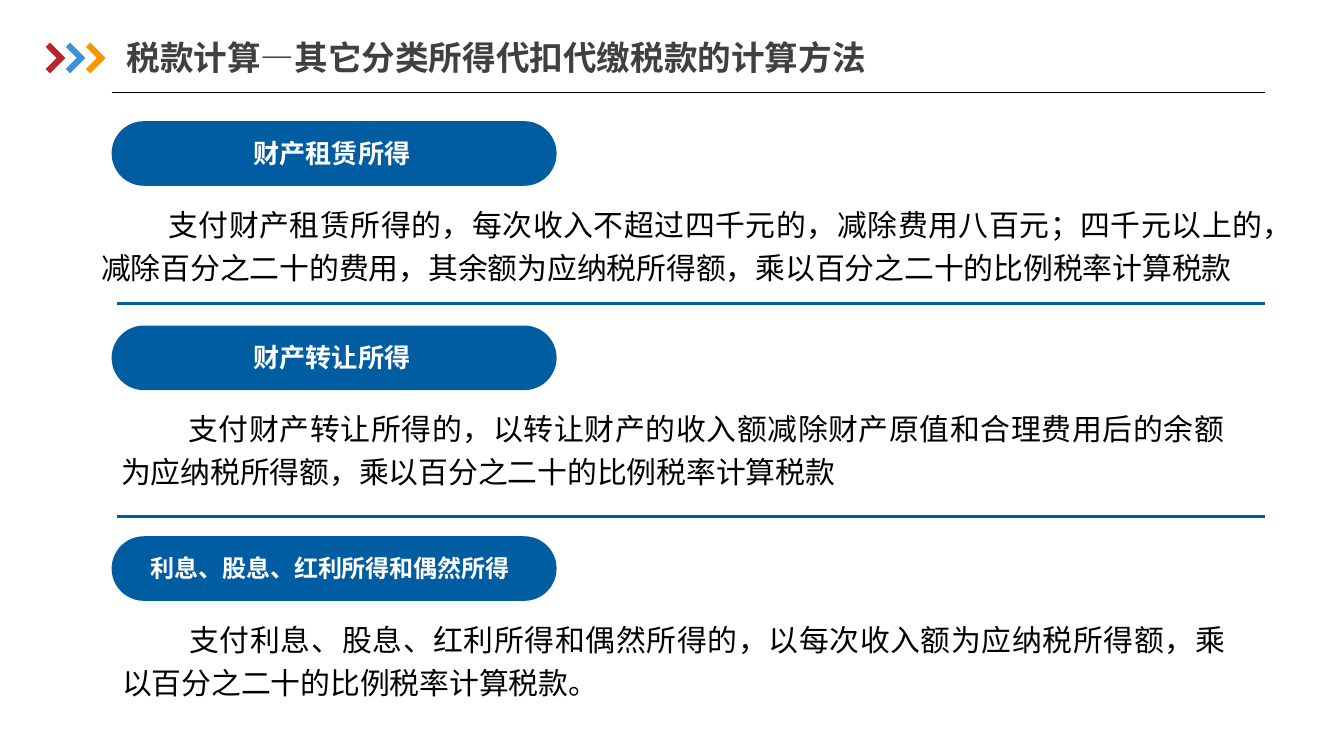
from dataclasses import dataclass

from lxml import etree
from pptx import Presentation
from pptx.dml.color import RGBColor
from pptx.enum.lang import MSO_LANGUAGE_ID
from pptx.enum.shapes import MSO_CONNECTOR, MSO_SHAPE
from pptx.enum.text import MSO_ANCHOR, MSO_AUTO_SIZE, PP_ALIGN
from pptx.oxml.ns import qn
from pptx.util import Cm, Pt

CHEVRON, PILL = MSO_SHAPE.CORNER, MSO_SHAPE.ROUNDED_RECTANGLE
STRAIGHT = MSO_CONNECTOR.STRAIGHT
TOP, MIDDLE = MSO_ANCHOR.TOP, MSO_ANCHOR.MIDDLE
LEFT, CENTER, JUSTIFY = PP_ALIGN.LEFT, PP_ALIGN.CENTER, PP_ALIGN.JUSTIFY
NO_FIT, GROW = MSO_AUTO_SIZE.NONE, MSO_AUTO_SIZE.SHAPE_TO_FIT_TEXT
CHINESE = MSO_LANGUAGE_ID.SIMPLIFIED_CHINESE


@dataclass(frozen=True)
class Theme:
    blue: str = "005DA2"
    white: str = "FFFFFF"
    black: str = "000000"
    grey: str = "404040"
    chevrons: tuple = ("BC242A", "3992DB", "F79600")
    cjk: str = "Noto Sans CJK SC"
    latin: str = "Calibri"
    title: float = 18
    label: float = 14
    long_label: float = 12.9
    body: float = 16


THEME = Theme()
RIGHT = 23.9

SECTIONS = [
    dict(top=2.29, label="财产租赁所得", size=THEME.label,
         label_box=(3.71, 5.13), body_box=(1.91, 22, 2.44), rule=5.74,
         body="支付财产租赁所得的，每次收入不超过四千元的，减除费用八百元；"
              "四千元以上的，减除百分之二十的费用，其余额为应纳税所得额，"
              "乘以百分之二十的比例税率计算税款"),
    dict(top=6.15, label="财产转让所得", size=THEME.label,
         label_box=(3.71, 5.13), body_box=(2.29, 20.88, 1.63), rule=9.75,
         body="支付财产转让所得的，以转让财产的收入额减除财产原值和合理费用后的余额"
              "为应纳税所得额，乘以百分之二十的比例税率计算税款"),
    dict(top=10.13, label="利息、股息、红利所得和偶然所得", size=THEME.long_label,
         label_box=(2.57, 7.34), body_box=(2.31, 20.88, 1.63), rule=None,
         body="支付利息、股息、红利所得和偶然所得的，以每次收入额为应纳税所得额，"
              "乘以百分之二十的比例税率计算税款。"),
]


def apply(target, values):
    for name, value in values.items():
        setattr(target, name, value)


def write(sp, text, font, color, frame, para, margin=0):
    tf = sp.text_frame
    apply(tf, dict(word_wrap=True, margin_left=0, margin_right=0,
                   margin_top=margin, margin_bottom=margin) | frame)
    p = tf.paragraphs[0]
    apply(p, para)
    r = p.add_run()
    r.text = text
    apply(r.font, dict(language_id=CHINESE) | font)
    r.font.color.rgb = RGBColor.from_string(color)
    ea = etree.SubElement(r.font._element, qn("a:ea"))
    ea.set("typeface", THEME.cjk)


def add_title(s, text):
    sp = s.shapes.title
    apply(sp, dict(left=Cm(2.39), top=Cm(0.56), width=Cm(21.11), height=Cm(1.04)))
    write(sp, text, dict(name=THEME.cjk, size=Pt(THEME.title), bold=True), THEME.grey,
          dict(vertical_anchor=MIDDLE, auto_size=NO_FIT), dict(alignment=LEFT), Cm(0.13))


def add_text(s, box, text, font, color, frame, para):
    sp = s.shapes.add_textbox(*map(Cm, box))
    write(sp, text, font, color, frame, para)
    return sp


def add_filled(s, kind, box, color, adjustments, rotation=0):
    sp = s.shapes.add_shape(kind, *map(Cm, box))
    sp.shadow.inherit = False
    sp.rotation = rotation
    sp.fill.solid()
    sp.fill.fore_color.rgb = RGBColor.from_string(color)
    sp.line.fill.background()
    for i, value in enumerate(adjustments):
        sp.adjustments[i] = value


def add_rule(s, left, top, color, width):
    line = s.shapes.add_connector(STRAIGHT, Cm(left), Cm(top), Cm(RIGHT), Cm(top))
    line.line.color.rgb = RGBColor.from_string(color)
    line.line.width = Pt(width)
    etree.SubElement(line._element.spPr, qn("a:effectLst"))


def add_section(s, top, label, size, label_box, body_box, rule, body):
    add_filled(s, PILL, (2.11, top, 8.41, 1.22), THEME.blue, [0.5])
    label_left, label_width = label_box
    add_text(s, (label_left, top + 0.2, label_width, 0.86), label,
             dict(name=THEME.cjk, size=Pt(size), bold=True), THEME.white,
             dict(vertical_anchor=MIDDLE), dict(alignment=CENTER, line_spacing=0.9))
    body_left, body_width, body_height = body_box
    sp = add_text(s, (body_left, top + 1.47, body_width, body_height), body,
                  dict(name=THEME.latin, size=Pt(THEME.body)), THEME.black,
                  dict(vertical_anchor=TOP, auto_size=GROW),
                  dict(alignment=JUSTIFY, line_spacing=1.2))
    p = sp.text_frame.paragraphs[0]
    p._p.get_or_add_pPr().set("indent", str(Cm(1.27)))
    if rule:
        add_rule(s, 2.21, rule, THEME.blue, 1.5)


def main():
    prs = Presentation()
    apply(prs, dict(slide_width=Cm(25.4), slide_height=Cm(14.28)))
    s = prs.slides.add_slide(prs.slide_layouts[5])
    add_title(s, "税款计算—其它分类所得代扣代缴税款的计算方法")
    for i, color in enumerate(THEME.chevrons):
        add_filled(s, CHEVRON, (0.74 + 0.38 * i, 0.89, 0.41, 0.41), color,
                   [0.28, 0.29], 225)
    add_rule(s, 2.11, 1.75, THEME.black, 0.75)
    for section in SECTIONS:
        add_section(s, **section)
    prs.save("out.pptx")


if __name__ == "__main__":
    main()
